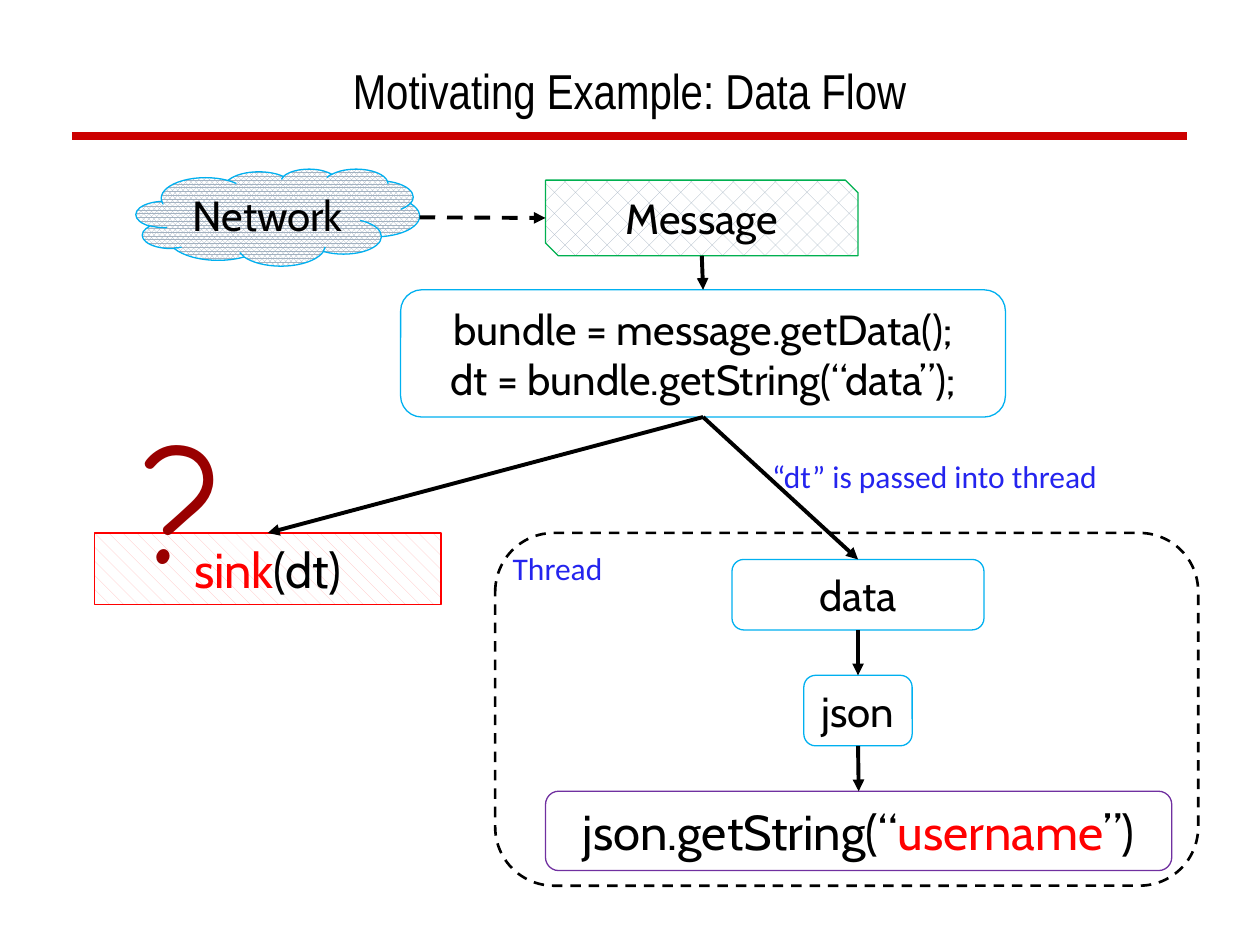
from dataclasses import dataclass
from typing import Optional

from lxml.etree import SubElement
from pptx import Presentation
from pptx.dml.color import RGBColor
from pptx.enum.dml import MSO_LINE, MSO_PATTERN
from pptx.enum.shapes import MSO_CONNECTOR, MSO_SHAPE
from pptx.enum.text import MSO_ANCHOR, MSO_AUTO_SIZE, PP_ALIGN
from pptx.oxml.ns import qn
from pptx.util import Inches, Pt


@dataclass(frozen=True)
class Theme:
    black: str = "000000"
    white: str = "FFFFFF"
    red: str = "FF0000"
    rule: str = "CC0000"
    question: str = "990000"
    note: str = "2424EE"
    blue: str = "00B0F0"
    green: str = "00B050"
    purple: str = "7030A0"
    slate: str = "A3B2C1"
    pink: str = "FFBEBE"
    title_font: str = "Arial Narrow"
    node_font: str = "Cabin"
    note_font: str = "Calibri"
    question_font: str = "Comic Neue"
    note_size: int = 18
    node_size: int = 24
    large_size: int = 28
    question_size: int = 96


THEME = Theme()


@dataclass(frozen=True)
class Run:
    text: str
    color: str = THEME.black


@dataclass(frozen=True)
class Box:
    left: float
    top: float
    width: float
    height: float

    @property
    def top_center(self):
        return self.left + self.width / 2, self.top

    @property
    def bottom_center(self):
        return self.left + self.width / 2, self.top + self.height

    @property
    def left_middle(self):
        return self.left, self.top + self.height / 2

    @property
    def right_middle(self):
        return self.left + self.width, self.top + self.height / 2

    def lengths(self):
        return [Inches(v) for v in (self.left, self.top, self.width, self.height)]


@dataclass(frozen=True)
class Node:
    box: Box
    lines: tuple = ()
    kind: MSO_SHAPE = MSO_SHAPE.ROUNDED_RECTANGLE
    outline: str = THEME.blue
    size: int = THEME.node_size
    pattern: Optional[MSO_PATTERN] = None
    pattern_color: str = THEME.slate
    wrap: bool = True
    weight: float = 0.75
    dashed: bool = False


@dataclass(frozen=True)
class Label:
    box: Box
    run: Run
    font: str = THEME.note_font
    size: int = THEME.note_size
    align: PP_ALIGN = PP_ALIGN.LEFT
    anchor: MSO_ANCHOR = MSO_ANCHOR.TOP
    wrap: bool = False
    auto_size: MSO_AUTO_SIZE = MSO_AUTO_SIZE.SHAPE_TO_FIT_TEXT


def rgb(color: str) -> RGBColor:
    return RGBColor.from_string(color)


def apply(target, values: dict) -> None:
    for name, value in values.items():
        setattr(target, name, value)


def write_text(shape, lines: tuple, font: str, size: int, align: PP_ALIGN, frame_format: dict) -> None:
    frame = shape.text_frame
    apply(frame, frame_format)
    for index, line in enumerate(lines):
        paragraph = frame.add_paragraph() if index else frame.paragraphs[0]
        paragraph.alignment = align
        for part in line:
            run = paragraph.add_run()
            run.text = part.text
            apply(run.font, {"name": font, "size": Pt(size)})
            run.font.color.rgb = rgb(part.color)


def style_line(line, color: str, weight: float, dashed: bool) -> None:
    line.color.rgb = rgb(color)
    line.width = Pt(weight)
    if dashed:
        line.dash_style = MSO_LINE.DASH


def draw_node(slide, node: Node) -> None:
    shape = slide.shapes.add_shape(node.kind, *node.box.lengths())
    shape.shadow.inherit = False
    if node.pattern is None:
        shape.fill.background()
    else:
        shape.fill.patterned()
        shape.fill.pattern = node.pattern
        shape.fill.fore_color.rgb = rgb(node.pattern_color)
        shape.fill.back_color.rgb = rgb(THEME.white)
    style_line(shape.line, node.outline, node.weight, node.dashed)
    if node.lines:
        write_text(shape, node.lines, THEME.node_font, node.size, PP_ALIGN.CENTER, {
            "vertical_anchor": MSO_ANCHOR.MIDDLE,
            "word_wrap": node.wrap,
            "auto_size": MSO_AUTO_SIZE.SHAPE_TO_FIT_TEXT,
        })


def draw_label(slide, label: Label) -> None:
    shape = slide.shapes.add_textbox(*label.box.lengths())
    write_text(shape, ((label.run,),), label.font, label.size, label.align, {
        "vertical_anchor": label.anchor,
        "word_wrap": label.wrap,
        "auto_size": label.auto_size,
    })


def draw_line(slide, start: tuple, end: tuple, color: str = THEME.black,
              weight: float = 2.25, dashed: bool = False, arrow: bool = True) -> None:
    points = [Inches(value) for value in (*start, *end)]
    connector = slide.shapes.add_connector(MSO_CONNECTOR.STRAIGHT, *points)
    style_line(connector.line, color, weight, dashed)
    if arrow:
        SubElement(connector.line._get_or_add_ln(), qn("a:tailEnd"), type="triangle")
    SubElement(connector._element.spPr, qn("a:effectLst"))


def main() -> None:
    presentation = Presentation()
    presentation.slide_width, presentation.slide_height = Inches(10), Inches(7.5)
    slide = presentation.slides.add_slide(presentation.slide_layouts[6])

    network = Box(1.08, 1.34, 2.25, 0.77)
    message = Box(4.33, 1.43, 2.48, 0.6)
    bundle = Box(3.18, 2.3, 4.8, 1.01)
    sink = Box(0.75, 4.23, 2.75, 0.57)
    data = Box(5.81, 4.44, 2, 0.56)
    json = Box(6.38, 5.36, 0.86, 0.56)
    username = Box(4.33, 6.28, 4.97, 0.63)
    thread = Box(3.93, 4.23, 5.58, 2.8)

    nodes = (
        Node(message, ((Run("Message"),),), MSO_SHAPE.SNIP_2_DIAG_RECTANGLE,
             THEME.green, pattern=MSO_PATTERN.DIAGONAL_BRICK),
        Node(bundle, ((Run("bundle = message.getData();"),),
                      (Run("dt = bundle.getString(“data”);"),)), wrap=False),
        Node(sink, ((Run("sink", THEME.red), Run("(dt)")),), MSO_SHAPE.RECTANGLE, THEME.red,
             THEME.large_size, MSO_PATTERN.SHINGLE, THEME.pink),
        Node(data, ((Run("data"),),)),
        Node(json, ((Run("json"),),), wrap=False),
        Node(username, ((Run("json.getString(“"), Run("username", THEME.red), Run("”)")),),
             outline=THEME.purple, size=THEME.large_size),
        Node(network, ((Run("Network"),),), MSO_SHAPE.CLOUD, pattern=MSO_PATTERN.PERCENT_80),
        Node(thread, outline=THEME.black, weight=1.5, dashed=True),
    )
    flows = ((message, bundle), (bundle, sink), (bundle, data), (data, json), (json, username))
    labels = (
        Label(Box(0.58, 0.17, 8.83, 0.83), Run("Motivating Example: Data Flow"),
              THEME.title_font, THEME.large_size, PP_ALIGN.CENTER, MSO_ANCHOR.BOTTOM,
              True, MSO_AUTO_SIZE.NONE),
        Label(Box(3.97, 4.31, 0.92, 0.4), Run("Thread", THEME.note)),
        Label(Box(6.03, 3.58, 2.81, 0.4), Run("“dt” is passed into thread", THEME.note)),
        Label(Box(1.02, 3.09, 0.91, 1.72), Run("?", THEME.question),
              THEME.question_font, THEME.question_size),
    )

    draw_line(slide, (0.57, 1.08), (9.42, 1.08), THEME.rule, 4.5, arrow=False)
    for node in nodes:
        draw_node(slide, node)
    draw_line(slide, network.right_middle, message.left_middle, dashed=True)
    for source, target in flows:
        draw_line(slide, source.bottom_center, target.top_center)
    for label in labels:
        draw_label(slide, label)

    presentation.save("out.pptx")


if __name__ == "__main__":
    main()
